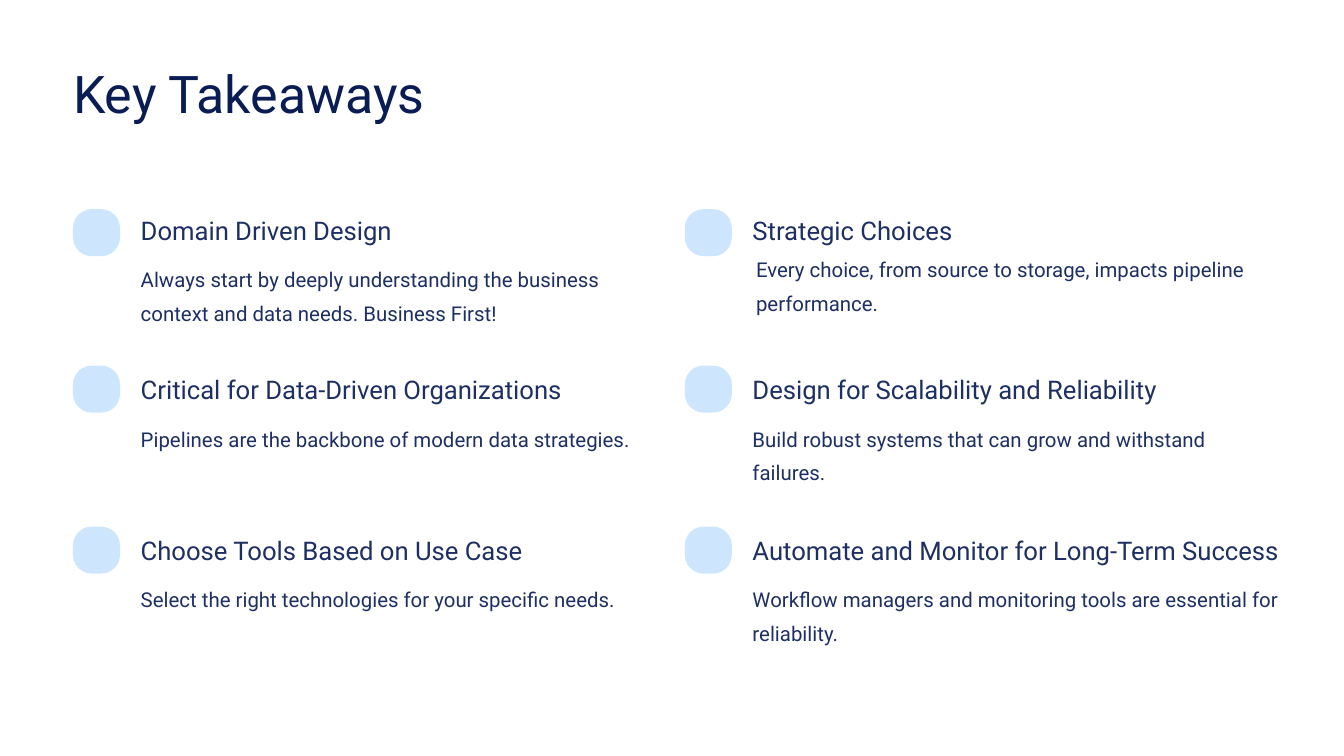
from pptx import Presentation
from pptx.dml.color import RGBColor
from pptx.enum.shapes import MSO_SHAPE as Shape
from pptx.enum.text import MSO_ANCHOR as Anchor, MSO_AUTO_SIZE as AutoSize, PP_ALIGN as Align
from pptx.util import Pt

COLOURS = {"title": "091C53", "text": "1E3063", "marker": "CEE6FD"}
FONT = "Roboto"
MARKER_SIZE = 40.3
TEXT_INDENT = 58
COLUMN_LEFTS = (62.6, 587)
ROWS = (
    {"top": 179.3, "heading": 3.6, "body": 42.5},
    {"top": 313.4, "heading": 6.3, "body": 45.2},
    {"top": 451.4, "heading": 5.8, "body": 44.7},
)
TAKEAWAYS = (
    (
        ("Domain Driven Design",
         "Always start by deeply understanding the business context and data needs. Business First!"),
        ("Strategic Choices",
         "Every choice, from source to storage, impacts pipeline performance."),
    ),
    (
        ("Critical for Data-Driven Organizations",
         "Pipelines are the backbone of modern data strategies."),
        ("Design for Scalability and Reliability",
         "Build robust systems that can grow and withstand failures."),
    ),
    (
        ("Choose Tools Based on Use Case",
         "Select the right technologies for your specific needs."),
        ("Automate and Monitor for Long-Term Success",
         "Workflow managers and monitoring tools are essential for\nreliability."),
    ),
)
BODY_NUDGES = {"Strategic Choices": (3, -8.7)}


def write_text(box, text, *, size, leading, colour="text", wrap=False):
    frame = box.text_frame
    frame.margin_left = frame.margin_top = frame.margin_right = frame.margin_bottom = 0
    frame.vertical_anchor = Anchor.TOP
    frame.auto_size = AutoSize.NONE
    frame.word_wrap = wrap
    frame.text = text
    for para in frame.paragraphs:
        para.alignment = Align.LEFT
        para.line_spacing = Pt(leading)
        for span in para.runs:
            span.font.name = FONT
            span.font.size = Pt(size)
            span.font.color.rgb = RGBColor.from_string(COLOURS[colour])


def add_title(page, left, top, width, height):
    title = page.shapes.title
    title.left, title.top, title.width, title.height = map(Pt, (left, top, width, height))
    write_text(title, "Key Takeaways", size=44.5, leading=55.5, colour="title")


def add_takeaway(page, left, row, heading, body):
    top = row["top"]
    marker = page.shapes.add_shape(
        Shape.ROUNDED_RECTANGLE, Pt(left), Pt(top), Pt(MARKER_SIZE), Pt(MARKER_SIZE))
    marker.adjustments[0] = 0.4
    marker.shadow.inherit = False
    marker.fill.solid()
    marker.fill.fore_color.rgb = RGBColor.from_string(COLOURS["marker"])
    marker.line.fill.background()

    text_left = left + TEXT_INDENT
    heading_box = page.shapes.add_textbox(
        Pt(text_left), Pt(top + row["heading"]), Pt(455), Pt(28))
    write_text(heading_box, heading, size=22, leading=27.5)

    nudge_x, nudge_y = BODY_NUDGES.get(heading, (0, 0))
    body_box = page.shapes.add_textbox(
        Pt(text_left + nudge_x), Pt(top + row["body"] + nudge_y), Pt(444), Pt(57))
    write_text(body_box, body, size=17.5, leading=28.5, wrap="\n" not in body)


def main():
    deck = Presentation()
    deck.slide_width, deck.slide_height = Pt(1152), Pt(648)
    page = deck.slides.add_slide(deck.slide_layouts[5])
    add_title(page, 62.6, 50.4, 446.4, 56)
    for row, pair in zip(ROWS, TAKEAWAYS):
        for left, (heading, body) in zip(COLUMN_LEFTS, pair):
            add_takeaway(page, left, row, heading, body)
    deck.save("out.pptx")


if __name__ == "__main__":
    main()
